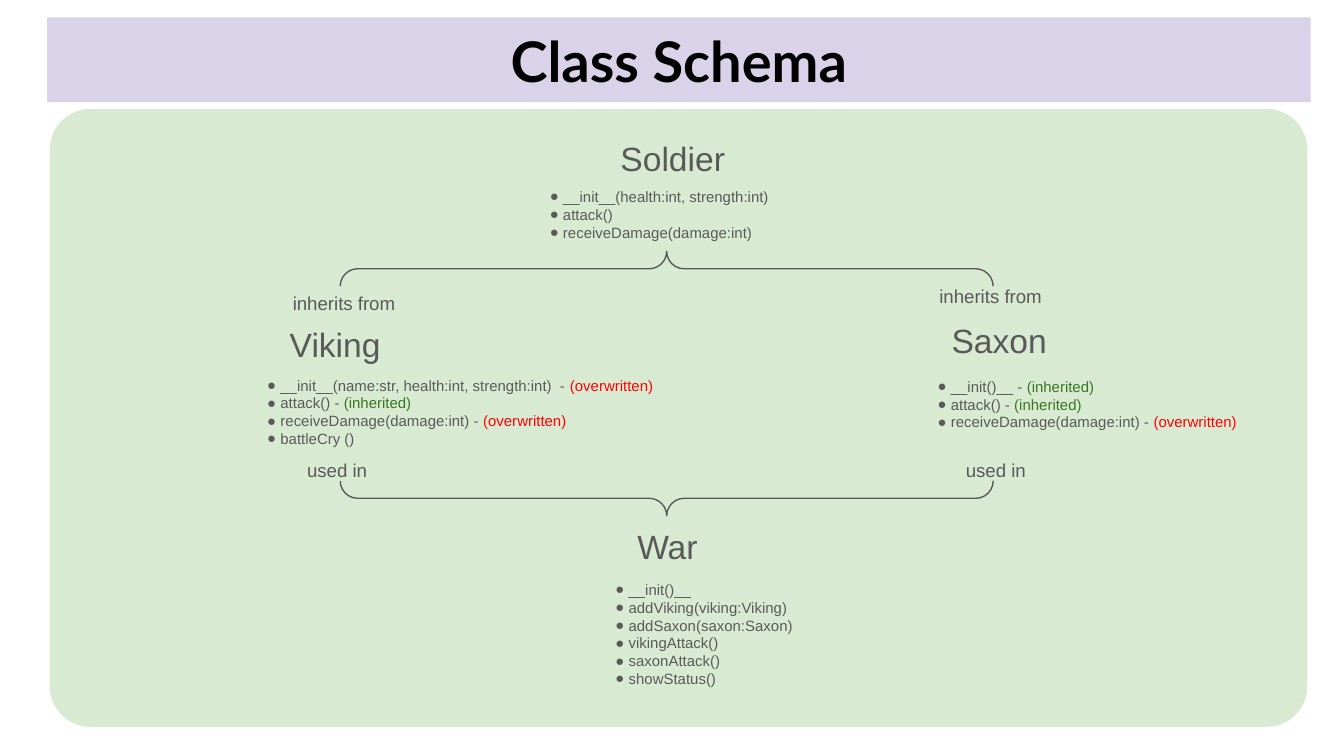
import pptx
import pptx.util
import pptx.dml.color
import pptx.enum.shapes
import pptx.enum.text
import lxml.etree
from pptx.util import Cm

COLORS = {
    "banner": "D9D2E9",
    "panel": "D9EAD3",
    "title": "000000",
    "text": "595959",
    "(overwritten)": "FF0000",
    "(inherited)": "38761D",
}
BODY_FONT = "Arial"
INSET = 0.25
HEADING_SIZE = (6.53, 1.27)
LABEL_SIZE = (4.52, 0.94)
OVERWRITTEN, INHERITED = "(overwritten)", "(inherited)"


def color(name):
    return pptx.dml.color.RGBColor.from_string(COLORS[name])


def place(shape, box):
    shape.left, shape.top, shape.width, shape.height = map(Cm, box)


def add_element(parent, tag, **attributes):
    return lxml.etree.SubElement(parent, pptx.oxml.ns.qn(tag), attributes)


def style_frame(frame, anchor=pptx.enum.text.MSO_ANCHOR.TOP):
    frame.word_wrap = True
    frame.auto_size = pptx.enum.text.MSO_AUTO_SIZE.NONE
    frame.vertical_anchor = anchor
    frame.margin_left = frame.margin_right = Cm(INSET)
    frame.margin_top = frame.margin_bottom = Cm(INSET)


def style_font(paragraph, size, name=BODY_FONT, ink="text", bold=False):
    paragraph.font.size = pptx.util.Pt(size)
    paragraph.font.name = name
    paragraph.font.bold = bold
    paragraph.font.color.rgb = color(ink)


def centered_text(slide, text, box, size):
    label = slide.shapes.add_textbox(*map(Cm, box))
    style_frame(label.text_frame)
    paragraph = label.text_frame.paragraphs[0]
    paragraph.text = text
    paragraph.alignment = pptx.enum.text.PP_ALIGN.CENTER
    style_font(paragraph, size)


def title_banner(slide, box):
    banner = slide.shapes.title
    place(banner, box)
    geometry = add_element(banner._element.spPr, "a:prstGeom", prst="roundRect")
    guides = add_element(geometry, "a:avLst")
    add_element(guides, "a:gd", name="adj", fmla="val 25800")
    banner.fill.solid()
    banner.fill.fore_color.rgb = color("banner")
    style_frame(banner.text_frame, pptx.enum.text.MSO_ANCHOR.MIDDLE)
    paragraph = banner.text_frame.paragraphs[0]
    paragraph.text = "Class Schema"
    paragraph.alignment = pptx.enum.text.PP_ALIGN.CENTER
    style_font(paragraph, 30, "Lato", "title", True)


def schema_panel(slide, box):
    panel = slide.shapes.add_shape(
        pptx.enum.shapes.MSO_SHAPE.ROUNDED_RECTANGLE, *map(Cm, box))
    panel.adjustments[0] = 0.066
    panel.shadow.inherit = False
    panel.fill.solid()
    panel.fill.fore_color.rgb = color("panel")
    panel.line.fill.background()
    panel._element.getparent().insert(2, panel._element)


def class_block(slide, methods_holder, box, name, offset, methods):
    left, top, width, height = box
    dx, dy = offset
    centered_text(slide, name, (left, top, *HEADING_SIZE), 18)
    place(methods_holder, (left + dx, top + dy, width, height))
    frame = methods_holder.text_frame
    style_frame(frame)
    for index, (signature, note) in enumerate(methods):
        paragraph = frame.add_paragraph() if index else frame.paragraphs[0]
        paragraph.alignment = pptx.enum.text.PP_ALIGN.LEFT
        paragraph.space_before = pptx.util.Pt(0)
        properties = paragraph._p.get_or_add_pPr()
        properties.set("marL", str(Cm(0.25)))
        properties.set("indent", str(Cm(-0.38)))
        bullet_color = add_element(properties, "a:buClr")
        add_element(bullet_color, "a:srgbClr", val=COLORS["text"])
        add_element(properties, "a:buFont", typeface=BODY_FONT)
        add_element(properties, "a:buChar", char="●")
        style_font(paragraph, 8)
        paragraph.add_run().text = signature
        if note:
            remark = paragraph.add_run()
            remark.text = note
            remark.font.color.rgb = color(note)


def relation(slide, box, rotation, text, label_offsets):
    left, top, width, height = box
    shift = (width - height) / 2
    brace = slide.shapes.add_shape(
        pptx.enum.shapes.MSO_SHAPE.RIGHT_BRACE,
        *map(Cm, (left + shift, top - shift, height, width)))
    brace.rotation = rotation
    brace.adjustments[0] = brace.adjustments[1] = 0.5
    brace.shadow.inherit = False
    brace.fill.background()
    brace.line.color.rgb = color("text")
    brace.line.width = pptx.util.Pt(0.75)
    for dx, dy in label_offsets:
        centered_text(slide, text, (left + dx, top + dy, *LABEL_SIZE), 10)


CLASSES = [
    ("Soldier", (9.45, 2.36, 5.13, 1.52), (0.69, 0.94), [
        ("__init__(health:int, strength:int)", None),
        ("attack()", None),
        ("receiveDamage(damage:int)", None),
    ]),
    ("Viking", (3.07, 5.87, 7.95, 1.85), (1.73, 0.99), [
        ("__init__(name:str, health:int, strength:int)  - ", OVERWRITTEN),
        ("attack() - ", INHERITED),
        ("receiveDamage(damage:int) - ", OVERWRITTEN),
        ("battleCry ()", None),
    ]),
    ("Saxon", (15.62, 5.79, 6.22, 1.52), (1.85, 1.09), [
        ("__init()__ - ", INHERITED),
        ("attack() - ", INHERITED),
        ("receiveDamage(damage:int) - ", OVERWRITTEN),
    ]),
    ("War", (9.35, 9.7, 4.57, 2.54), (2.03, 1.02), [
        ("__init()__", None),
        ("addViking(viking:Viking)", None),
        ("addSaxon(saxon:Saxon)", None),
        ("vikingAttack()", None),
        ("saxonAttack()", None),
        ("showStatus()", None),
    ]),
]


def main():
    deck = pptx.Presentation()
    deck.slide_width, deck.slide_height = Cm(25.4), Cm(14.29)
    slide = deck.slides.add_slide(deck.slide_layouts.get_by_name("Comparison"))
    method_holders = list(slide.placeholders)[1:]
    title_banner(slide, (0.89, 0.33, 23.88, 1.6))
    schema_panel(slide, (0.94, 2.06, 23.77, 11.68))
    for holder, (name, box, offset, methods) in zip(method_holders, CLASSES):
        class_block(slide, holder, box, name, offset, methods)
    relation(slide, (6.43, 4.75, 12.34, 0.66), 270, "inherits from",
             [(-2.19, 0.51), (10.03, 0.38)])
    relation(slide, (6.43, 9.09, 12.34, 0.66), 90, "used in",
             [(-2.32, -0.66), (10.13, -0.66)])
    deck.save("out.pptx")


if __name__ == "__main__":
    main()
